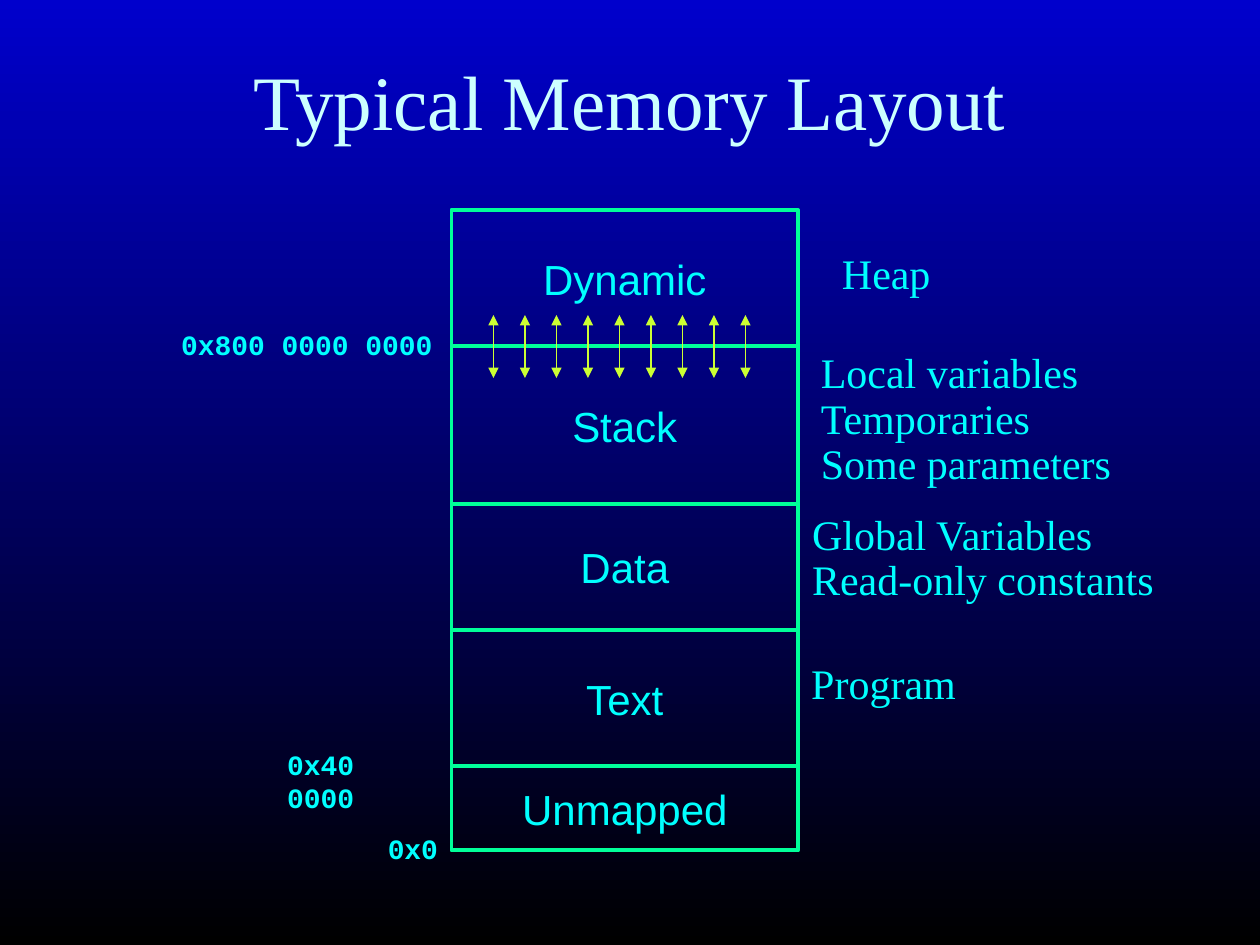
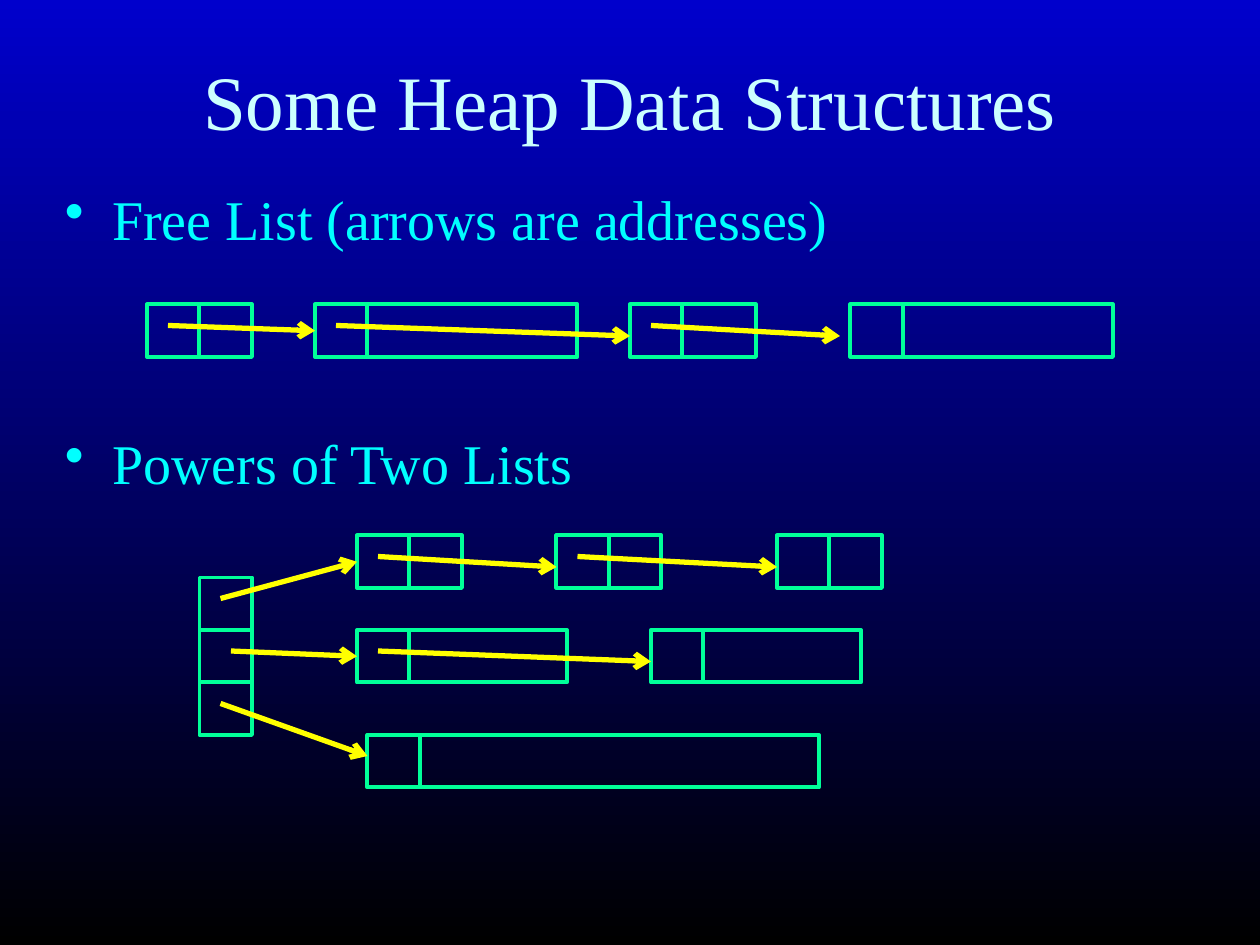
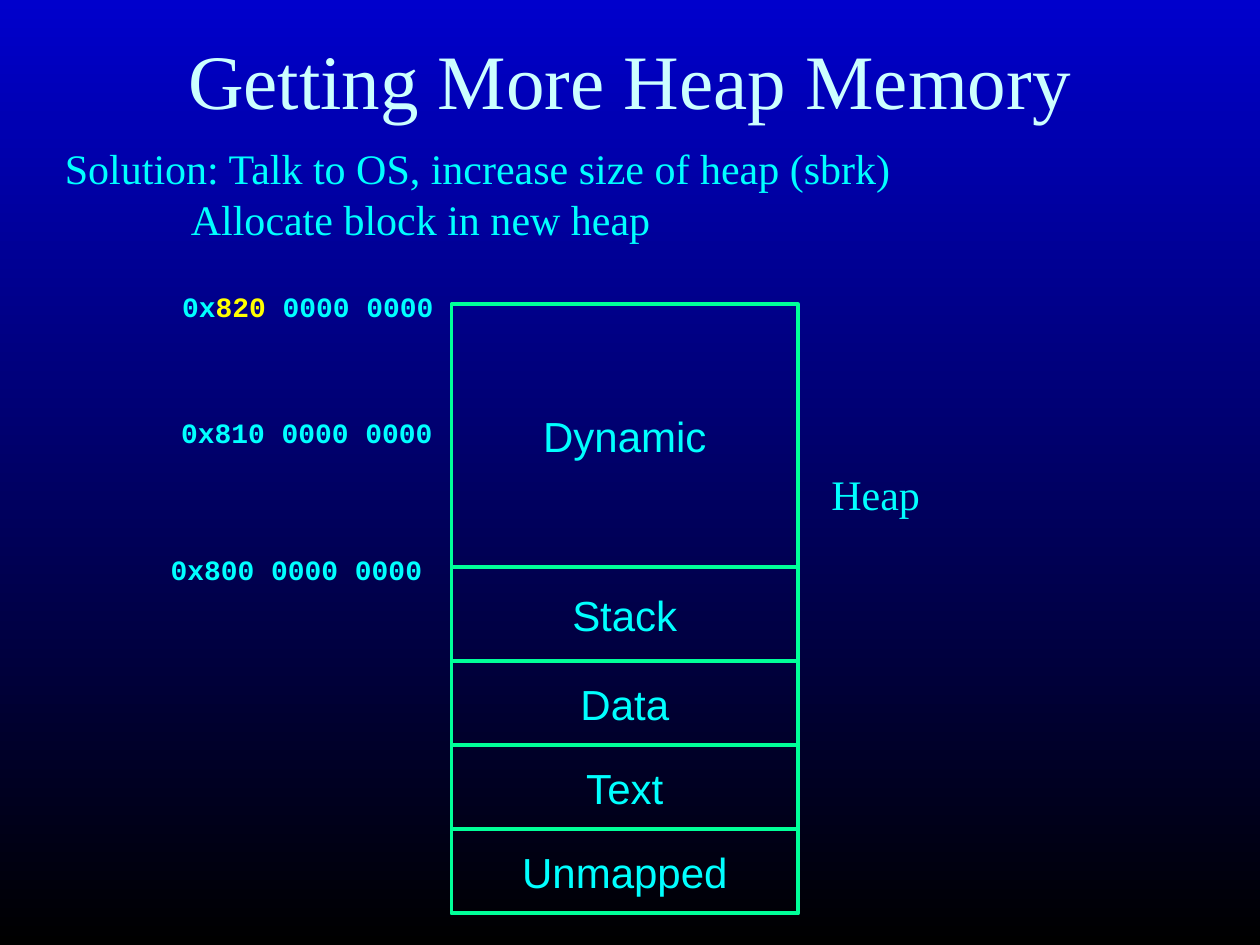
from dataclasses import dataclass
from lxml.etree import SubElement
from pptx import Presentation
from pptx.dml.color import RGBColor
from pptx.enum.shapes import MSO_CONNECTOR, MSO_SHAPE
from pptx.enum.text import MSO_ANCHOR, PP_ALIGN
from pptx.oxml.ns import qn
from pptx.util import Pt


@dataclass(frozen=True)
class Theme:
    sky: str = "0000CC"
    night: str = "000000"
    title_color: str = "CCFFFF"
    text_color: str = "00FFFF"
    highlight: str = "FFFF00"
    outline: str = "00FF99"
    growth: str = "CCFF33"
    serif: str = "Times New Roman"
    sans: str = "Arial"
    mono: str = "Courier New"
    title_size: int = 44
    bullet_size: int = 32
    label_size: int = 24
    address_size: int = 16
    outline_width: float = 2.25
    pointer_width: float = 3
    growth_width: float = 0.75


THEME = Theme()
TITLE = {"name": THEME.serif, "size": Pt(THEME.title_size)}
BULLET = {"name": THEME.serif, "size": Pt(THEME.bullet_size)}
NOTE = {"name": THEME.serif, "size": Pt(THEME.label_size)}
SEGMENT = {"name": THEME.sans, "size": Pt(THEME.label_size)}
ADDRESS = {"name": THEME.mono, "size": Pt(THEME.address_size), "bold": True}
CENTERED = {"alignment": PP_ALIGN.CENTER}
TIGHT = {"line_spacing": 0.9}
POINTER = {"color": THEME.highlight, "width": THEME.pointer_width, "head": "arrow"}
GROWTH = {"color": THEME.growth, "width": THEME.growth_width, "head": "triangle"}

MARGIN, CONTENT_WIDTH = 30, 660
MAP_LEFT, MAP_WIDTH = 258, 198
CELL = 30
SEGMENT_NAMES = ["Dynamic", "Stack", "Data", "Text", "Unmapped"]


def assign(target, values):
    for name, value in values.items():
        setattr(target, name, value)


class Deck:
    def __init__(self, theme):
        self.theme = theme
        self.presentation = Presentation()
        assign(self.presentation, {"slide_width": Pt(720), "slide_height": Pt(540)})
        fill = self.presentation.slide_master.background.fill
        fill.gradient()
        fill.gradient_angle = 270
        for stop, position, color in zip(fill.gradient_stops, (0, 1), (theme.sky, theme.night)):
            stop.position = position
            stop.color.rgb = RGBColor.from_string(color)

    def new_slide(self, title, title_height=90):
        self.slide = self.presentation.slides.add_slide(self.presentation.slide_layouts[6])
        self.text((MARGIN, 12, CONTENT_WIDTH, title_height), [title], TITLE, CENTERED,
                  {"vertical_anchor": MSO_ANCHOR.MIDDLE, "word_wrap": True}, self.theme.title_color)

    def fill_frame(self, frame, lines, font, layout, color):
        for index, line in enumerate(lines):
            paragraph = frame.add_paragraph() if index else frame.paragraphs[0]
            assign(paragraph, layout)
            for content, run_color in [(line, color)] if isinstance(line, str) else line:
                run = paragraph.add_run()
                run.text = content
                assign(run.font, font)
                run.font.color.rgb = RGBColor.from_string(run_color)
        return frame.paragraphs

    def text(self, box, lines, font, layout={}, frame_format={"word_wrap": False}, color=THEME.text_color):
        frame = self.slide.shapes.add_textbox(*map(Pt, box)).text_frame
        assign(frame, frame_format)
        return self.fill_frame(frame, lines, font, layout, color)

    def bullets(self, box, lines, gap):
        paragraphs = self.text(box, lines, BULLET, frame_format={"word_wrap": True})
        for index, paragraph in enumerate(paragraphs):
            if index:
                paragraph.space_before = Pt(gap)
            properties = paragraph._p.get_or_add_pPr()
            properties.set("marL", str(Pt(27)))
            properties.set("indent", str(Pt(-27)))
            SubElement(properties, qn("a:buChar")).set("char", "•")

    def rectangle(self, left, top, width, height, label=None):
        shape = self.slide.shapes.add_shape(MSO_SHAPE.RECTANGLE, *map(Pt, (left, top, width, height)))
        shape.shadow.inherit = False
        shape.fill.background()
        shape.line.color.rgb = RGBColor.from_string(self.theme.outline)
        shape.line.width = Pt(self.theme.outline_width)
        if label:
            assign(shape.text_frame, {"word_wrap": False, "vertical_anchor": MSO_ANCHOR.MIDDLE})
            self.fill_frame(shape.text_frame, [label], SEGMENT, CENTERED, self.theme.text_color)
        return shape

    def memory_map(self, top, heights):
        for name, height in zip(SEGMENT_NAMES, heights):
            self.rectangle(MAP_LEFT, top, MAP_WIDTH, height, name)
            top += height

    def block(self, left, top, body_width):
        header = self.rectangle(left, top, CELL, CELL)
        self.rectangle(left + CELL, top, body_width, CELL)
        return header

    def arrow(self, start, end, style, target=None):
        connector = self.slide.shapes.add_connector(MSO_CONNECTOR.STRAIGHT, *map(Pt, start + end))
        connector.line.color.rgb = RGBColor.from_string(style["color"])
        connector.line.width = Pt(style["width"])
        properties = connector._element.spPr
        SubElement(properties.find(qn("a:ln")), qn("a:tailEnd")).set("type", style["head"])
        SubElement(properties, qn("a:effectLst"))
        if target is not None:
            connector.end_connect(target, 1)


def build_layout_slide(deck):
    deck.new_slide("Typical Memory Layout")
    deck.memory_map(120, [78, 90, 72, 78, 48])
    for column in range(9):
        x = 282 + 18 * column
        for tip in (180, 216):
            deck.arrow((x, 198), (x, tip), GROWTH)
    deck.text((474, 138, 65, 65), ["Heap"], NOTE)
    deck.text((462, 198, 210, 111), ["Local variables Temporaries", "Some parameters"],
              NOTE, TIGHT, {"word_wrap": True})
    deck.text((457, 290, 210, 59), ["Global Variables", "Read-only constants"], NOTE, TIGHT)
    deck.text((456.5, 372, 97, 36), ["Program"], NOTE)
    for left, top, width, address in [(96.5, 183.5, 158, "0x800 0000 0000"),
                                      (157, 423.5, 100, "0x40 0000"),
                                      (214.5, 471.5, 43, "0x0")]:
        deck.text((left, top, width, 27), [address], ADDRESS)


def build_heap_slide(deck):
    deck.new_slide("Some Heap Data Structures")
    deck.bullets((MARGIN, 102, CONTENT_WIDTH, 384),
                 ["Free List (arrows are addresses)", "Powers of Two Lists"], 101)

    free_list = [deck.block(left, 174, body)
                 for left, body in [(84, 30), (180, 120), (360, 42), (486, 120)]]
    deck.arrow((96, 186), (180, 189), POINTER, free_list[1])
    deck.arrow((192, 186), (360, 192), POINTER)
    deck.arrow((372, 186), (480, 192), POINTER)

    for row in range(3):
        deck.rectangle(114, 330 + CELL * row, CELL, CELL)
    rows = [[deck.block(left, top, body) for left in lefts]
            for top, body, lefts in [(306, 30, (204, 318, 444)),
                                     (360, 90, (204, 372)),
                                     (420, 228, (210,))]]
    deck.arrow((126, 342), (204, 321), POINTER, rows[0][0])
    deck.arrow((132, 372), (204, 375), POINTER, rows[1][0])
    deck.arrow((126, 402), (210, 432), POINTER)
    for left, top, next_left in [(204, 306, 318), (318, 306, 444), (204, 360, 372)]:
        deck.arrow((left + 12, top + 12), (next_left, top + 18), POINTER)


def build_growth_slide(deck):
    deck.new_slide("Getting More Heap Memory", 66)
    deck.memory_map(174, [150, 54, 48, 48, 48])
    deck.text((468, 264, 65, 65), ["Heap"], NOTE)
    solution = deck.text((MARGIN, 78, CONTENT_WIDTH, 94),
                         ["Solution: Talk to OS, increase size of heap (sbrk)",
                          "Allocate block in new heap"], NOTE, frame_format={"word_wrap": True})
    solution[1]._p.get_or_add_pPr().set("marL", str(Pt(72)))
    new_top = [("0x", THEME.text_color), ("820", THEME.highlight), (" 0000 0000", THEME.text_color)]
    for left, top, address in [(97, 162, new_top),
                               (96.5, 234, "0x810 0000 0000"),
                               (90.5, 312, "0x800 0000 0000")]:
        deck.text((left, top, 158, 27), [address], ADDRESS)


def main():
    deck = Deck(THEME)
    build_layout_slide(deck)
    build_heap_slide(deck)
    build_growth_slide(deck)
    deck.presentation.save("out.pptx")


if __name__ == "__main__":
    main()
